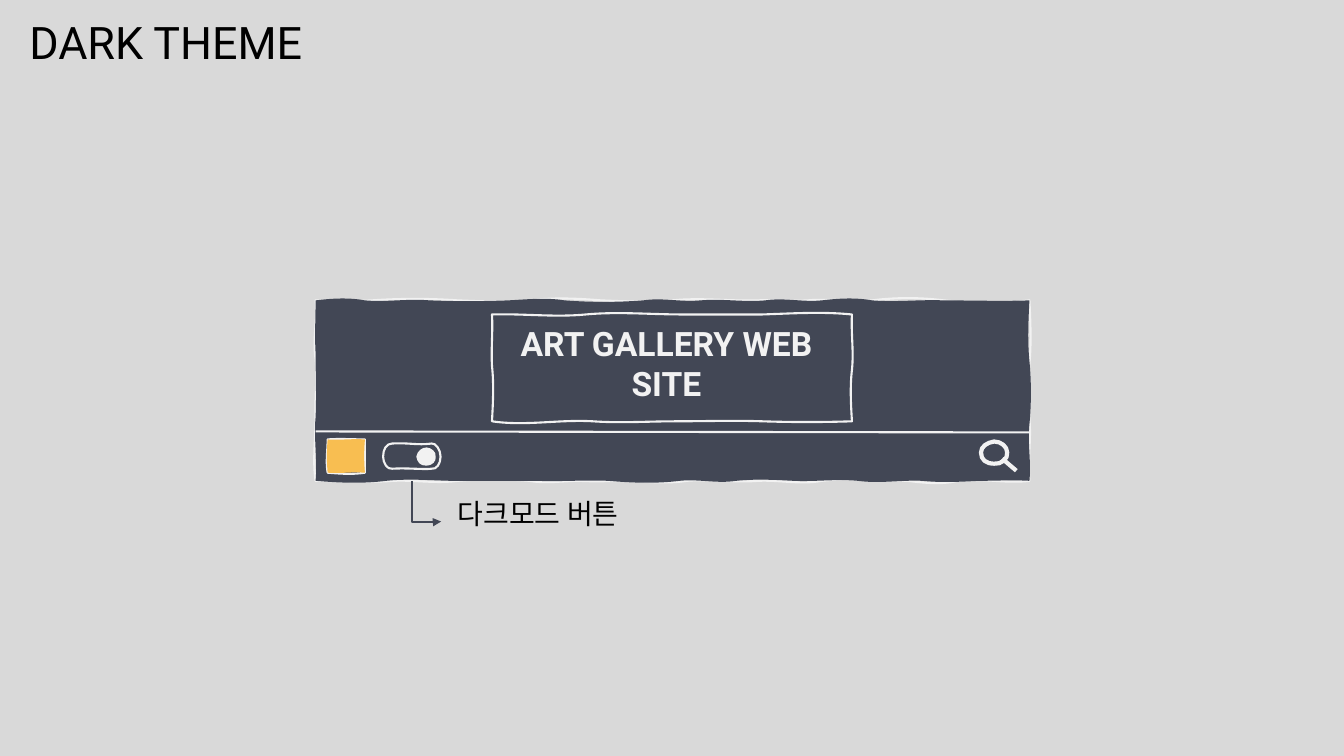
from lxml import etree
from pptx import Presentation
from pptx.dml.color import RGBColor
from pptx.enum.shapes import MSO_CONNECTOR as Connector
from pptx.enum.text import MSO_ANCHOR as Anchor, MSO_AUTO_SIZE as AutoSize, PP_ALIGN as Align
from pptx.oxml.ns import qn
from pptx.util import Inches, Pt

GREY = RGBColor(0xD9, 0xD9, 0xD9)
NAVY = RGBColor(0x42, 0x47, 0x55)
CHALK = RGBColor(0xF2, 0xF2, 0xF2)
AMBER = RGBColor(0xF8, 0xBE, 0x51)
BLACK = RGBColor(0, 0, 0)
UNITS_PER_INCH = 1000

# Hand-drawn rectangles: top, right, bottom and left edges, clockwise.
# Each part of an edge is (where it ends, first wobble, second wobble).
PANEL_OUTLINE = (
    [(.56, .01, .01), (1.41, -.02, -.02), (2.12, .01, .02), (2.83, -.03, -.02),
     (3.54, .01, .02), (4.39, -.03, .01), (4.88, -.01, .01), (5.52, -.02, .02),
     (6.23, -.03, -.03), (7.08, .03, .03)],
    [(.63, .01, .02), (1.18, -.03, -.02), (1.79, .02, -.02)],
    [(6.37, .03, -.03), (5.87, .04, .02), (5.02, -.01, -.03), (4.39, .04, -.01),
     (3.68, .02, -.02), (3.11, .03, .01), (2.62, 0, .01), (2.12, 0, .03),
     (1.41, -.02, -.02), (.77, .03, -.01), (0, .02, 0)],
    [(1.18, -.03, 0), (.58, -.01, .02), (0, -.03, .02)])
PANEL_FILL = (
    [(.49, -.02, -.03), (1.13, .02, -.02), (1.91, .01, .01), (2.47, -.01, -.03),
     (3.25, .02, .02), (3.82, -.03, .02), (4.46, -.02, .02), (5.02, -.03, .02),
     (5.52, -.02, -.03), (6.23, .02, -.01), (7.08, 0, .01)],
    [(.6, -.01, -.02), (1.23, .02, .02), (1.79, -.02, .02)],
    [(6.58, -.01, 0), (6.02, .01, .02), (5.38, -.01, .03), (4.74, -.02, .01),
     (4.17, -.01, -.02), (3.61, .03, -.02), (2.9, .03, .02), (2.19, -.01, .01),
     (1.55, 0, 0), (.7, .01, -.03), (0, .03, .02)],
    [(1.16, .02, -.02), (.52, .01, 0), (0, -.01, 0)])
NAME_FRAME = (
    [(.93, -.01, .03), (1.89, -.03, 0), (2.68, 0, 0), (3.57, -.01, -.03)],
    [(.55, -.01, .02), (1.06, -.02, -.01)],
    [(2.68, .01, .01), (1.82, -.01, 0), (1, 0, .02), (0, -.02, .05)],
    [(.51, .01, .02), (0, -.01, .01)])
SWATCH_OUTLINE = ([(.37, -.01, 0)], [(.33, 0, 0)], [(0, .02, .01)], [(0, -.02, 0)])
SWATCH_FILL = ([(.37, .01, -.01)], [(.33, -.01, -.01)], [(0, -.01, .01)], [(0, -.01, -.01)])

# Closed curves: each part is two control points and an end point.
TOGGLE = [(.27, -.01, .33, .02, .48, 0), (.52, -.01, .57, .06, .57, .13),
          (.57, .2, .53, .26, .48, .25), (.4, .26, .23, .24, .09, .25),
          (.04, .26, 0, .19, 0, .13), (0, .06, .03, 0, .09, 0)]
KNOB_OUTLINE = [(.01, .03, .05, 0, .09, 0), (.13, 0, .18, .04, .17, .08),
                (.18, .12, .14, .16, .09, .16), (.03, .16, .01, .13, 0, .08)]
KNOB_FILL = [(0, .04, .05, 0, .09, 0), (.14, 0, .17, .04, .17, .08),
             (.17, .13, .14, .16, .09, .16), (.04, .16, 0, .12, 0, .08)]
LENS = [(0, .05, .06, .01, .13, 0), (.2, 0, .26, .05, .26, .11),
        (.27, .17, .2, .23, .13, .22), (.05, .22, 0, .18, 0, .11)]


def rectangle_curves(edges):
    """Turn wobbling edges into a closed run of cubic curves."""
    curves, position = [], [0, 0]
    for number, edge in enumerate(edges):
        axis = number % 2
        for end, *wobbles in edge:
            points = []
            for share, wobble in zip((1 / 3, 2 / 3, 1), (*wobbles, 0)):
                point = list(position)
                point[axis] += share * (end - position[axis])
                point[1 - axis] += wobble
                points += point
            curves.append(points)
            position[axis] = end
    return curves


def add_path(path_list, width, height, curves, **options):
    """Add a closed path of cubic curves to a freeform."""
    def units(length):
        return str(round(length * UNITS_PER_INCH))

    path = etree.SubElement(path_list, qn("a:path"), w=units(width), h=units(height), **options)
    for tag, values in [("a:moveTo", curves[-1][4:])] + [("a:cubicBezTo", c) for c in curves]:
        command = etree.SubElement(path, qn(tag))
        for x, y in zip(values[::2], values[1::2]):
            etree.SubElement(command, qn("a:pt"), x=units(x), y=units(y))
    etree.SubElement(path, qn("a:close"))


def sketch(page, box, outline, inside=None, fill=None, line_width=1.5):
    """Draw a curved outline in chalk, under an optional filled inside."""
    left, top, width, height = box
    corners = ((left + width, top), (left + width, top + height), (left, top + height))
    builder = page.shapes.build_freeform(Inches(left), Inches(top))
    builder.add_line_segments([(Inches(x), Inches(y)) for x, y in corners])
    shape = builder.convert_to_shape()
    path_list = shape._element.spPr.find(qn("a:custGeom")).find(qn("a:pathLst"))
    path_list.remove(path_list[0])
    add_path(path_list, width, height, outline, fill="none")
    if inside is None:
        shape.fill.background()
    else:
        add_path(path_list, width, height, inside, stroke="0")
        shape.fill.solid()
        shape.fill.fore_color.rgb = fill
    shape.shadow.inherit = False
    shape.line.color.rgb = CHALK
    shape.line.width = Pt(line_width)


def draw_line(page, begin, end, color, width=1.5, kind=Connector.STRAIGHT):
    line = page.shapes.add_connector(kind, *map(Inches, (*begin, *end)))
    line.line.color.rgb = color
    line.line.width = Pt(width)
    etree.SubElement(line._element.spPr, qn("a:effectLst"))
    return line


def write(box, text, size, font, color, bold=False, align=Align.LEFT):
    frame = box.text_frame
    frame.text = text
    frame.word_wrap = True
    frame.vertical_anchor = Anchor.TOP
    frame.auto_size = AutoSize.SHAPE_TO_FIT_TEXT
    para = frame.paragraphs[0]
    para.alignment = align
    span = para.runs[0]
    span.font.size = Pt(size)
    span.font.name = font
    span.font.bold = bold
    span.font.color.rgb = color
    etree.SubElement(span._r.rPr, qn("a:ea"), typeface=font)


def add_title(page, left, top, width, height):
    title = page.shapes.title
    title.left, title.top, title.width, title.height = map(Inches, (left, top, width, height))
    write(title, "DARK THEME", 32, "Roboto", BLACK)


def draw_header(page, left, top, width, height):
    sketch(page, (left, top, width, height), rectangle_curves(PANEL_OUTLINE),
           rectangle_curves(PANEL_FILL), NAVY)
    name = page.shapes.add_textbox(*map(Inches, (left + 1.86, top + .17, 3.24, .91)))
    write(name, "ART GALLERY WEB SITE", 24, "Roboto", CHALK, True, Align.CENTER)
    sketch(page, (left + 1.75, top + .14, 3.57, 1.06), rectangle_curves(NAME_FRAME))
    draw_line(page, (left, top + 1.3), (left + width, top + 1.31), CHALK)
    draw_toolbar(page, left, top + 1.3, width)


def draw_toolbar(page, left, top, width):
    sketch(page, (left + .12, top + .08, .37, .33), rectangle_curves(SWATCH_OUTLINE),
           rectangle_curves(SWATCH_FILL), AMBER)
    right = left + width
    sketch(page, (right - .48, top + .1, .26, .22), LENS, line_width=3)
    draw_line(page, (right - .27, top + .27), (right - .13, top + .39), CHALK, 3)
    sketch(page, (left + .67, top + .12, .57, .25), TOGGLE)
    sketch(page, (left + 1.01, top + .17, .17, .16), KNOB_OUTLINE, KNOB_FILL, CHALK)


def draw_callout(page, left, top):
    """Label the toggle with an arrow that drops, then turns right."""
    label = page.shapes.add_textbox(*map(Inches, (left + .36, top + .11, 3.03, .49)))
    write(label, "다크모드 버튼", 20, "Noto Sans CJK KR", BLACK)
    arrow = draw_line(page, (left + .35, top + .06), (left - .05, top + .35), NAVY,
                      kind=Connector.ELBOW)
    properties = arrow._element.spPr
    properties.find(qn("a:xfrm")).set("rot", "16200000")
    adjustments = properties.find(qn("a:prstGeom")).find(qn("a:avLst"))
    etree.SubElement(adjustments, qn("a:gd"), name="adj1", fmla="val 101400")
    etree.SubElement(properties.find(qn("a:ln")), qn("a:tailEnd"), type="triangle")


def main():
    deck = Presentation()
    deck.slide_width, deck.slide_height = Inches(13.33), Inches(7.5)
    page = deck.slides.add_slide(deck.slide_layouts[5])
    page.background.fill.solid()
    page.background.fill.fore_color.rgb = GREY
    add_title(page, .19, .1, 4.25, .64)
    draw_header(page, 3.13, 2.98, 7.08, 1.79)
    draw_callout(page, 4.08, 4.77)
    deck.save("out.pptx")


if __name__ == "__main__":
    main()
